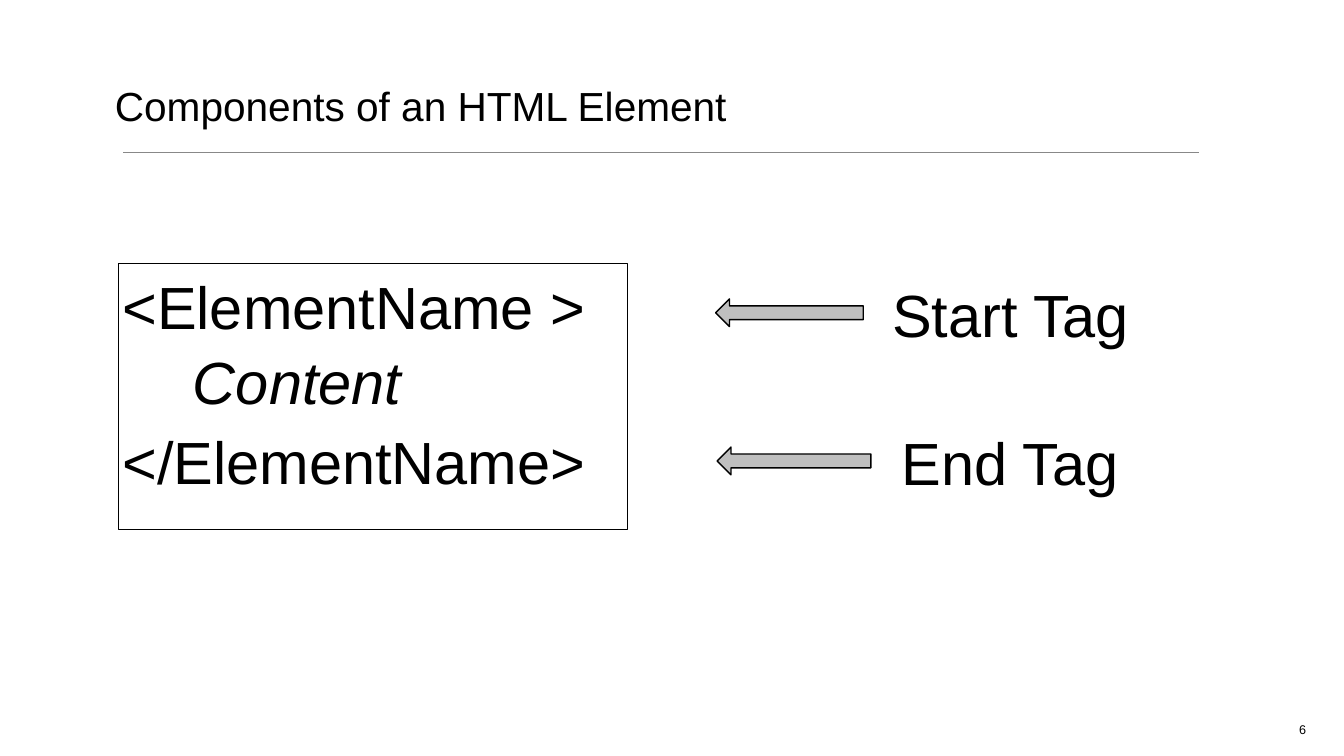
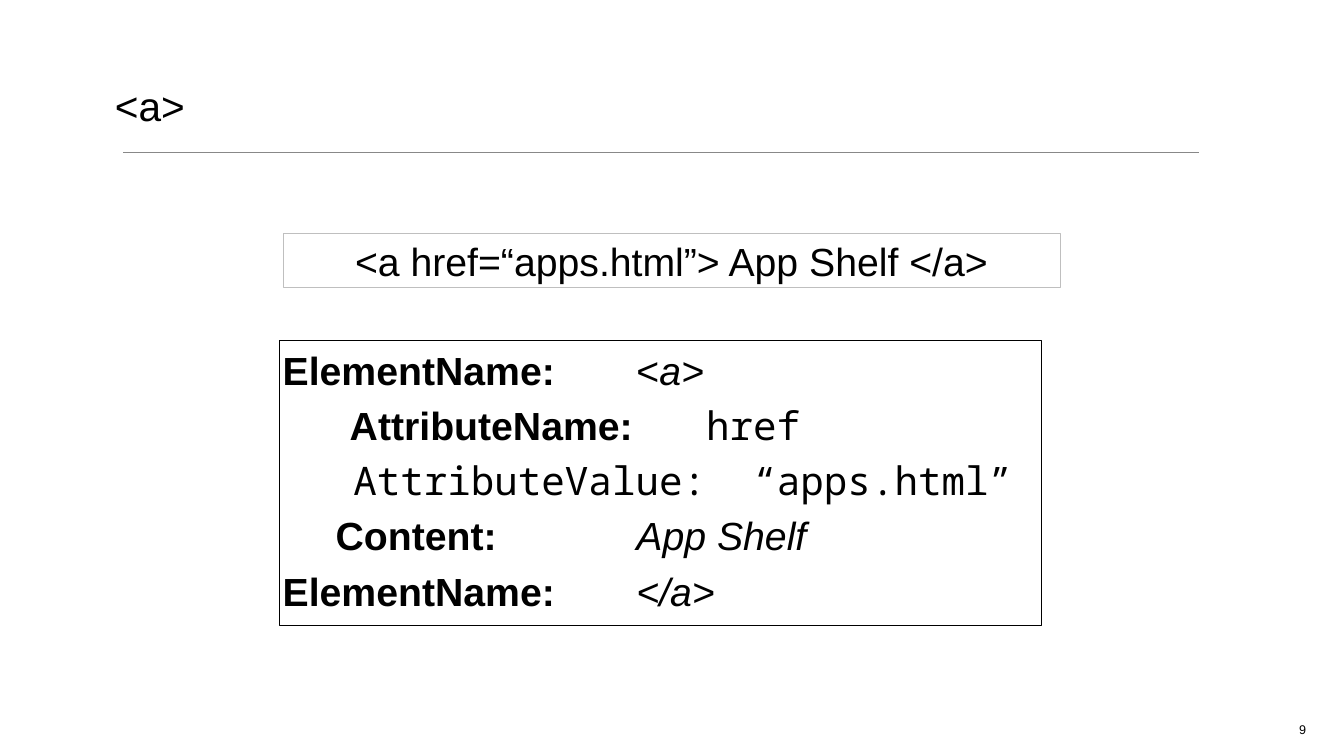
import dataclasses
import typing

import lxml.etree
import pptx
import pptx.dml.color
import pptx.enum.shapes
import pptx.enum.text
import pptx.oxml.ns
import pptx.util

Inches = pptx.util.Inches
Pt = pptx.util.Pt
Align = pptx.enum.text.PP_ALIGN
Anchor = pptx.enum.text.MSO_ANCHOR
Shape = pptx.enum.shapes.MSO_SHAPE

BLACK = pptx.dml.color.RGBColor(0x00, 0x00, 0x00)
WHITE = pptx.dml.color.RGBColor(0xFF, 0xFF, 0xFF)
SILVER = pptx.dml.color.RGBColor(0xBF, 0xBF, 0xBF)
RULE_GREY = pptx.dml.color.RGBColor(0x88, 0x88, 0x88)

SANS = "Arial"
MONO = "Noto Sans Mono"
BOLD = {"bold": True}
ITALIC = {"italic": True}
CODE = {"name": MONO}


@dataclasses.dataclass(frozen=True)
class Line:
    """One paragraph: (text, font format) runs, tab stops in inches, space before in points."""
    runs: tuple
    tabs: tuple = ()
    before: float = 0


@dataclasses.dataclass(frozen=True)
class Box:
    left: float
    top: float
    width: float
    height: float
    lines: tuple
    size: float
    align: typing.Any = Align.LEFT
    anchor: typing.Any = Anchor.TOP
    inset: float = 0.07
    spacing: float = 1.0
    wrap: bool = True
    fill: typing.Any = None
    border: typing.Any = None
    border_width: float = 1


@dataclasses.dataclass(frozen=True)
class TagArrow:
    left: float
    top: float
    width: float


def plain(text: str) -> tuple:
    return (Line(((text, {}),)),)


def set_all(target, values: dict) -> None:
    for name, value in values.items():
        setattr(target, name, value)


def add_tabs(p, stops: tuple) -> None:
    tab_list = lxml.etree.SubElement(p._p.get_or_add_pPr(), pptx.oxml.ns.qn("a:tabLst"))
    for stop in stops:
        tab = lxml.etree.SubElement(tab_list, pptx.oxml.ns.qn("a:tab"))
        tab.set("pos", str(Inches(stop)))
        tab.set("algn", "l")


def add_box(slide, box: Box) -> None:
    sp = slide.shapes.add_textbox(
        Inches(box.left), Inches(box.top), Inches(box.width), Inches(box.height))
    if box.fill is not None:
        sp.fill.solid()
        sp.fill.fore_color.rgb = box.fill
    if box.border is not None:
        sp.line.color.rgb = box.border
        sp.line.width = Pt(box.border_width)
    tf = sp.text_frame
    sides = ("left", "top", "right", "bottom")
    set_all(tf, {f"margin_{side}": Inches(box.inset) for side in sides})
    set_all(tf, {"word_wrap": box.wrap, "vertical_anchor": box.anchor})
    for i, line in enumerate(box.lines):
        p = tf.add_paragraph() if i else tf.paragraphs[0]
        set_all(p, {"alignment": box.align, "line_spacing": box.spacing,
                    "space_before": Pt(line.before)})
        if line.tabs:
            add_tabs(p, line.tabs)
        for text, style in line.runs:
            r = p.add_run()
            r.text = text
            set_all(r.font, {"name": SANS, "size": Pt(box.size)} | style)
            r.font.color.rgb = BLACK


def add_arrow(slide, arrow: TagArrow) -> None:
    sp = slide.shapes.add_shape(Shape.RIGHT_ARROW, Inches(arrow.left), Inches(arrow.top),
                                Inches(arrow.width), Inches(0.55))
    sp.rotation = 180
    sp.shadow.inherit = False
    sp.fill.solid()
    sp.fill.fore_color.rgb = SILVER
    sp.line.color.rgb = BLACK
    sp.line.width = Pt(2)


def add_title_rule(slide) -> None:
    rule = slide.shapes.add_connector(pptx.enum.shapes.MSO_CONNECTOR.STRAIGHT,
                                      Inches(2.45), Inches(3.03), Inches(23.79), Inches(3.03))
    rule.line.color.rgb = RULE_GREY
    rule.line.width = Pt(1)
    lxml.etree.SubElement(rule._element.spPr, pptx.oxml.ns.qn("a:effectLst"))


def add_slide(prs, title: str, number: int):
    """Add a blank slide with the shared rule, page number and title."""
    slide = prs.slides.add_slide(prs.slide_layouts[6])
    add_title_rule(slide)
    add_box(slide, Box(25.7, 14.25, 0.29, 0.44, plain(str(number)), 18,
                       align=Align.RIGHT, wrap=False))
    add_box(slide, Box(2.2, 0.51, 18.24, 2.15, plain(title), 58,
                       anchor=Anchor.BOTTOM, inset=0.08, fill=WHITE))
    return slide


ELEMENT_LINES = (
    Line((("<ElementName >", {}),)),
    Line((("\t", {}), ("Content", ITALIC)), (1.4,)),
    Line((("</ElementName>", {}),), before=9),
)

ANCHOR_LINES = (
    Line((("ElementName:", BOLD), ("\t<", {}), ("a>", ITALIC)), (7.02,), 9),
    Line((("\tAttributeName:", BOLD), ("\thref", CODE)), (1.33, 8.4), 9),
    Line((("\tAttributeValue:\t“apps.html”", CODE),), (1.4, 9.34), 9),
    Line((("\tContent:", BOLD), ("\tApp Shelf", ITALIC)), (1.05, 7.02), 9),
    Line((("ElementName:", BOLD), ("\t</a>", ITALIC)), (7.02,), 9),
)

COMPONENT_BOXES = (
    Box(2.35, 5.23, 10.1, 5.28, ELEMENT_LINES, 85, inset=0.08, spacing=1.04, border=BLACK),
    Box(17.15, 5.45, 5.81, 1.52, plain("Start Tag"), 85, align=Align.CENTER),
    Box(17.26, 8.38, 5.57, 1.52, plain("End Tag"), 85, align=Align.CENTER),
)

TAG_ARROWS = (TagArrow(14.2, 5.93, 2.93), TagArrow(14.23, 8.87, 3.05))

ANCHOR_BOXES = (
    Box(5.62, 4.63, 15.42, 1.08, plain("<a href=“apps.html”> App Shelf </a>"), 56,
        align=Align.CENTER, fill=WHITE, border=SILVER, border_width=2),
    Box(5.54, 6.76, 15.12, 5.64, ANCHOR_LINES, 56, spacing=1.04, border=BLACK),
)


def main() -> None:
    prs = pptx.Presentation()
    set_all(prs, {"slide_width": Inches(26.67), "slide_height": Inches(15)})

    components = add_slide(prs, "Components of an HTML Element", 6)
    for box in COMPONENT_BOXES:
        add_box(components, box)
    for arrow in TAG_ARROWS:
        add_arrow(components, arrow)

    anchor = add_slide(prs, "<a>", 9)
    for box in ANCHOR_BOXES:
        add_box(anchor, box)

    prs.save("out.pptx")


if __name__ == "__main__":
    main()
